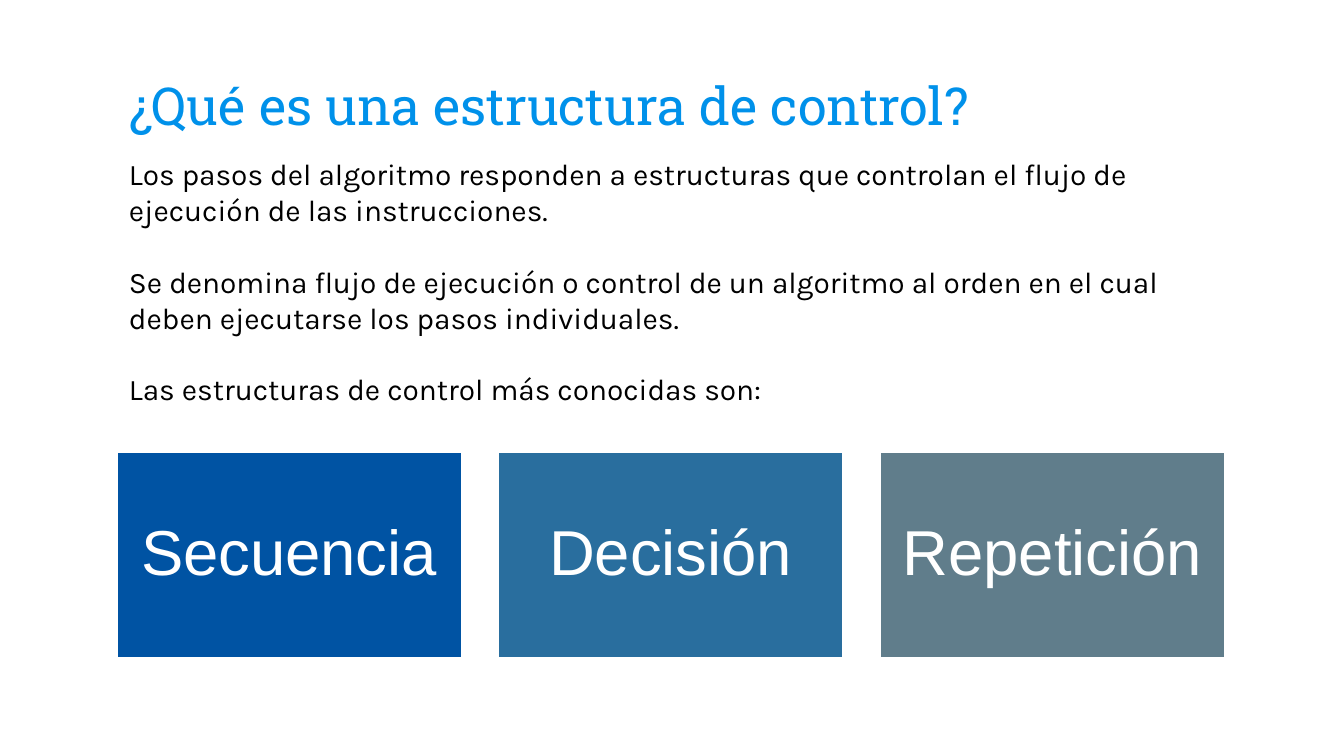
import pptx
import pptx.dml.color
import pptx.enum.shapes
import pptx.enum.text
import pptx.util

Pt = pptx.util.Pt
ANCHOR = pptx.enum.text.MSO_ANCHOR
ALIGN = pptx.enum.text.PP_ALIGN

EXPLANATION = [
    "Los pasos del algoritmo responden a estructuras que controlan el flujo de "
    "ejecución de las instrucciones.",
    "Se denomina flujo de ejecución o control de un algoritmo al orden en el cual "
    "deben ejecutarse los pasos individuales.",
    "Las estructuras de control más conocidas son:",
]
STRUCTURES = [("Secuencia", "0053A3"), ("Decisión", "296E9E"), ("Repetición", "607D8B")]


def rgb(hex_color):
    return pptx.dml.color.RGBColor.from_string(hex_color)


def add_run(paragraph, text, font, size, color):
    run = paragraph.add_run()
    run.text = text
    run.font.name = font
    run.font.size = Pt(size)
    run.font.color.rgb = rgb(color)


def set_frame(frame, inset, anchor):
    frame.word_wrap = True
    frame.auto_size = pptx.enum.text.MSO_AUTO_SIZE.NONE
    frame.vertical_anchor = anchor
    frame.margin_left = frame.margin_right = Pt(inset)
    frame.margin_top = frame.margin_bottom = Pt(inset)


def place_title(slide, left, top, width, height):
    title = slide.shapes.title
    title.left, title.top, title.width, title.height = map(Pt, (left, top, width, height))
    set_frame(title.text_frame, 7.2, ANCHOR.BOTTOM)
    heading = title.text_frame.paragraphs[0]
    heading.alignment = ALIGN.LEFT
    add_run(heading, "¿Qué es una estructura de control?", "Roboto Slab", 28, "0091EA")


def place_explanation(slide, left, top, width, height):
    explanation = slide.shapes.add_textbox(*map(Pt, (left, top, width, height)))
    frame = explanation.text_frame
    set_frame(frame, 7.2, ANCHOR.TOP)
    frame.margin_top = frame.margin_bottom = Pt(3.6)
    for index, text in enumerate(EXPLANATION):
        paragraph = frame.add_paragraph() if index else frame.paragraphs[0]
        # One line of space separates the paragraphs
        paragraph.space_after = Pt(19.2)
        add_run(paragraph, text, "Karla", 16, "000000")


def place_structures(slide, left, top, width, height):
    gap = 18.7
    count = len(STRUCTURES)
    card_width = (width - gap * (count - 1)) / count
    for index, (name, color) in enumerate(STRUCTURES):
        card = slide.shapes.add_shape(
            pptx.enum.shapes.MSO_SHAPE.RECTANGLE,
            Pt(left + index * (card_width + gap)), Pt(top), Pt(card_width), Pt(height))
        card.shadow.inherit = False
        card.fill.solid()
        card.fill.fore_color.rgb = rgb(color)
        card.line.color.rgb = rgb("FFFFFF")
        card.line.width = Pt(2)
        set_frame(card.text_frame, 10, ANCHOR.MIDDLE)
        label = card.text_frame.paragraphs[0]
        label.alignment = ALIGN.CENTER
        label.line_spacing = 0.9
        add_run(label, name, "Arial", 34, "FFFFFF")


def main():
    presentation = pptx.Presentation()
    presentation.slide_width = Pt(720)
    presentation.slide_height = Pt(405)
    # "Title Only" layout
    slide = presentation.slides.add_slide(presentation.slide_layouts[5])

    left = 62
    place_title(slide, left, 24.5, 596, 55.5)
    place_explanation(slide, left, 80, 566, 162.5)
    place_structures(slide, left, 241.5, 594.7, 111.5)

    presentation.save("out.pptx")


if __name__ == "__main__":
    main()
